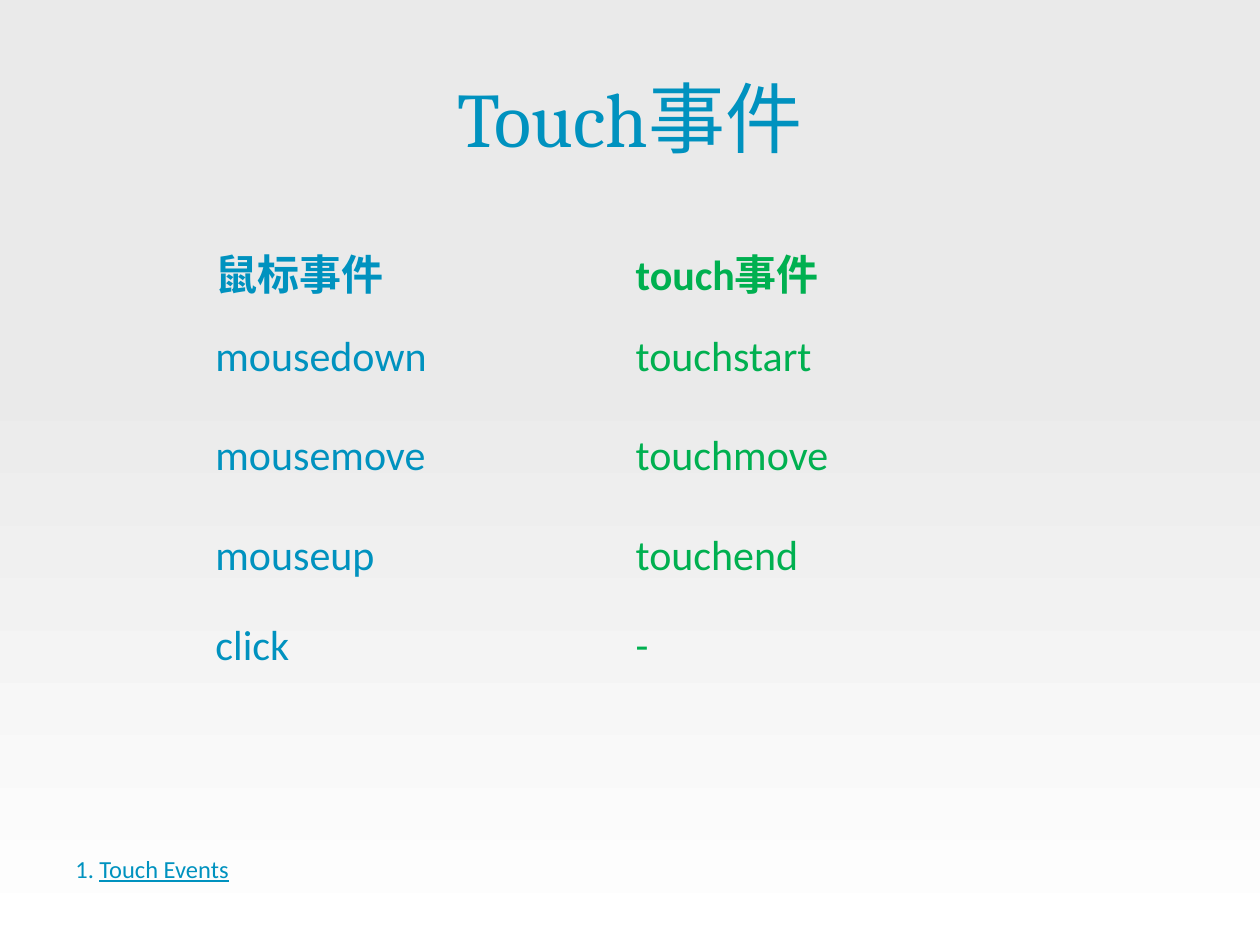
from dataclasses import dataclass

from lxml.etree import SubElement
from pptx import Presentation
from pptx.dml.color import RGBColor as RGB
from pptx.enum.text import MSO_ANCHOR as Anchor, PP_ALIGN as Align
from pptx.oxml.ns import qn
from pptx.util import Inches, Pt


@dataclass(frozen=True)
class Theme:
    """Colours, fonts and type sizes of the slide."""
    blue: RGB = RGB(0x00, 0x92, 0xBF)
    green: RGB = RGB(0x00, 0xB0, 0x50)
    grey: RGB = RGB(0xEA, 0xEA, 0xEA)
    white: RGB = RGB(0xFF, 0xFF, 0xFF)
    heading: str = "Cambria"
    body: str = "Calibri"
    title_size: Pt = Pt(44)
    table_size: Pt = Pt(24)
    note_size: Pt = Pt(14)


THEME = Theme()
NO_STYLE_NO_GRID = "{2D5ABB26-0587-4C30-8999-92F81FD0307C}"
EVENTS = [
    ("鼠标事件", "touch事件"),
    ("mousedown", "touchstart"),
    ("mousemove", "touchmove"),
    ("mouseup", "touchend"),
    ("click", "-"),
]
ROW_HEIGHTS = [0.71, 0.79, 0.79, 0.72, 0.46]


def add_run(p, text, size, color, font=THEME.body, bold=False, underline=False):
    """Append one formatted run to a paragraph."""
    r = p.add_run()
    r.text = text
    r.font.name, r.font.size = font, size
    r.font.bold, r.font.underline = bold, underline
    r.font.color.rgb = color


def add_text_box(slide, box, anchor):
    """Add a wrapping text box and return its first paragraph."""
    tf = slide.shapes.add_textbox(*map(Inches, box)).text_frame
    tf.word_wrap = True
    tf.vertical_anchor = anchor
    return tf.paragraphs[0]


def set_background(slide):
    """Fill the slide with a vertical grey to white gradient."""
    fill = slide.background.fill
    fill.gradient()
    fill.gradient_angle = 270
    stops = [(0.39, THEME.grey), (1, THEME.white)]
    for stop, (position, color) in zip(fill.gradient_stops, stops):
        stop.position = position
        stop.color.rgb = color


def add_title(slide, box):
    """Place the centred title."""
    p = add_text_box(slide, box, Anchor.MIDDLE)
    p.alignment = Align.CENTER
    add_run(p, "Touch事件", THEME.title_size, THEME.blue, THEME.heading)


def add_event_table(slide, box):
    """Place the table that pairs mouse events with touch events."""
    frame = slide.shapes.add_table(len(EVENTS), 2, *map(Inches, box))
    table = frame.table
    table.first_row = table.horz_banding = False
    table._tbl.tblPr.find(qn("a:tableStyleId")).text = NO_STYLE_NO_GRID
    for row, height, events in zip(table.rows, ROW_HEIGHTS, EVENTS):
        row.height = Inches(height)
        for cell, text, color in zip(row.cells, events, (THEME.blue, THEME.green)):
            cell.fill.background()
            add_run(cell.text_frame.paragraphs[0], text, THEME.table_size,
                    color, bold=events is EVENTS[0])


def add_references(slide, box):
    """Place the numbered reference at the foot of the slide."""
    p = add_text_box(slide, box, Anchor.BOTTOM)
    p.space_before = Pt(2.8)
    pPr = p._p.get_or_add_pPr()
    pPr.set("marL", str(Inches(0.19)))
    pPr.set("indent", str(Inches(-0.19)))
    SubElement(pPr, qn("a:buFont"), typeface="+mj-lt")
    SubElement(pPr, qn("a:buAutoNum"), type="arabicPeriod")
    add_run(p, "Touch Events", THEME.note_size, THEME.blue, underline=True)


def main():
    """Build and save the slide."""
    prs = Presentation()
    prs.slide_width, prs.slide_height = Inches(10), Inches(7.5)
    slide = prs.slides.add_slide(prs.slide_layouts[6])
    set_background(slide)
    add_title(slide, (0.5, 0.3, 9, 1.25))
    add_event_table(slide, (1.61, 1.87, 6.67, sum(ROW_HEIGHTS)))
    add_references(slide, (0.5, 6.16, 9, 0.9))
    prs.save("out.pptx")


if __name__ == "__main__":
    main()
